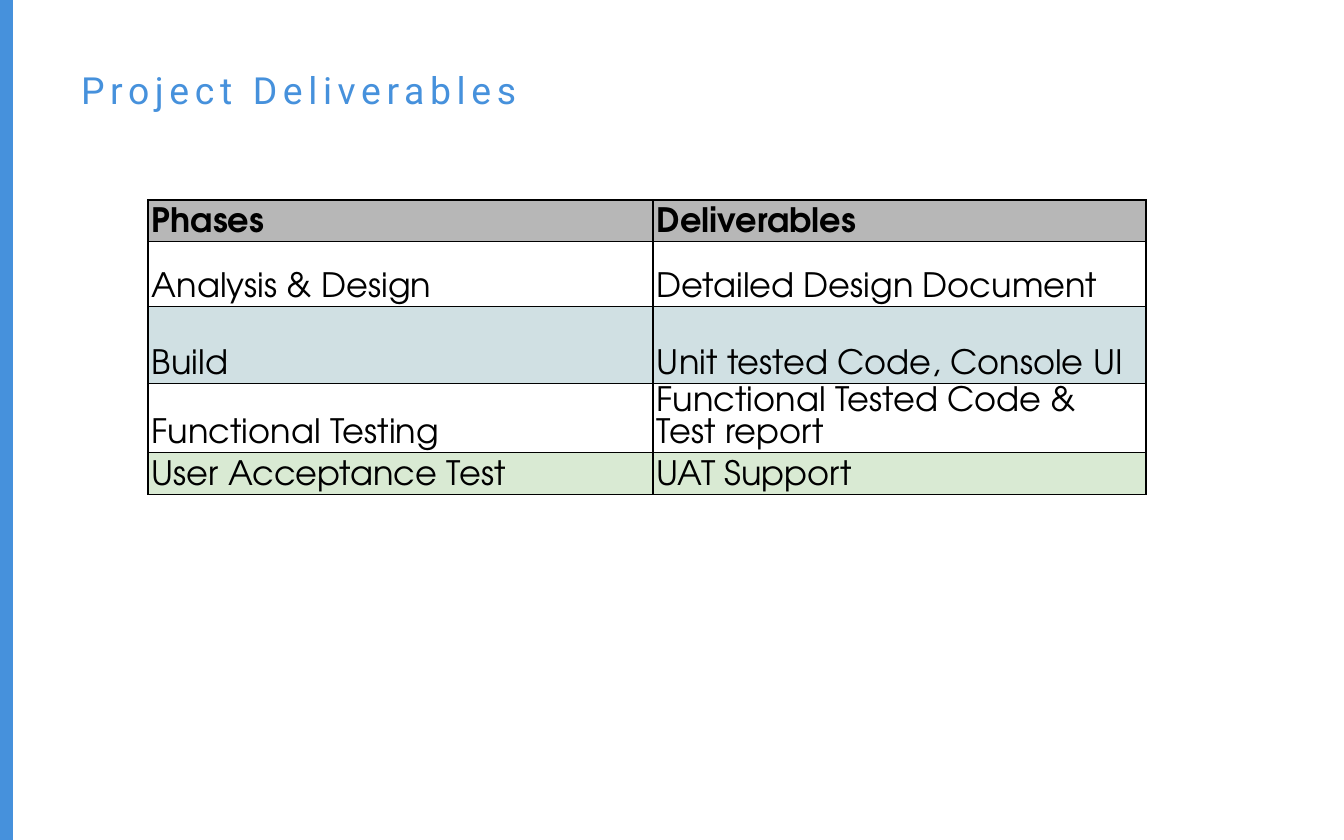
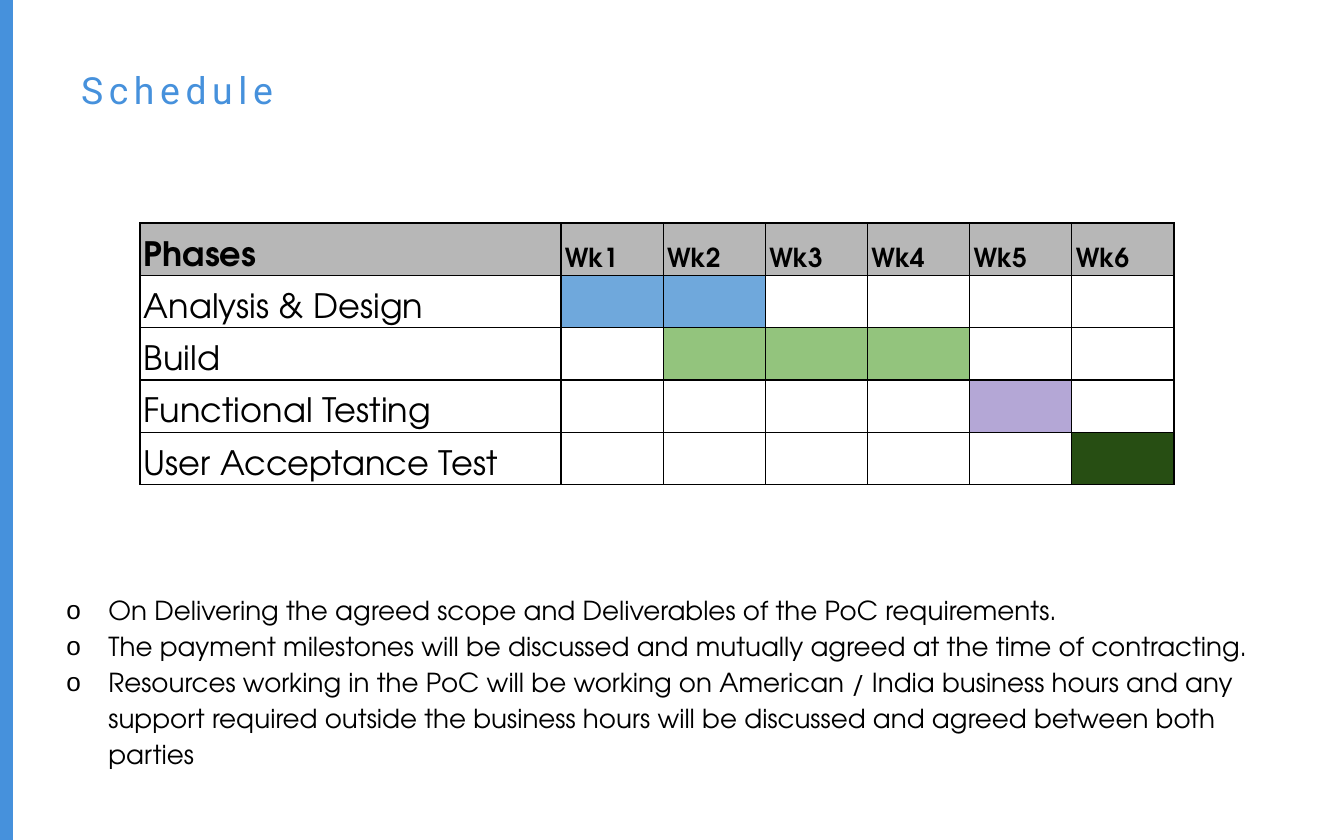
from pptx import Presentation
from pptx.dml.color import RGBColor as Rgb
from pptx.enum.shapes import MSO_SHAPE as Shape
from pptx.enum.text import MSO_ANCHOR as Anchor, MSO_AUTO_SIZE as Auto
from pptx.util import Pt
from lxml.etree import SubElement as Sub
from pptx.oxml.ns import qn

SCALE = 914400 / 134.4
BLUE, BLACK, WHITE, GREY = "4691DC", "000000", "FFFFFF", "B7B7B7"
HEAD, BODY = "Roboto", "TeX Gyre Adventor"
PHASES = ["Analysis & Design", "Build", "Functional Testing",
          "User Acceptance Test"]


def px(n):
    return round(n * SCALE)


def color(code):
    return Rgb.from_string(code)


def put(obj, **vals):
    for key, val in vals.items():
        setattr(obj, key, val)


def place(shape, box):
    put(shape, **dict(zip(("left", "top", "width", "height"), map(px, box))))


def style(font, size, name=BODY, code=BLACK, bold=False):
    put(font, size=Pt(size), name=name, bold=bold)
    font.color.rgb = color(code)


def add_bar(deck, slide, box):
    """Side band, moved to the master so that every slide has it."""
    bar = slide.shapes.add_shape(Shape.RECTANGLE, *map(px, box))
    bar.shadow.inherit = False
    bar.fill.solid()
    bar.fill.fore_color.rgb = color(BLUE)
    bar.line.fill.background()
    node = bar._element
    node.nvSpPr.cNvPr.set("id", "90")
    deck.slide_master.shapes._spTree.insert(2, node)


def add_title(slide, text, box=(81, 67, 1196, 56)):
    title = slide.shapes.title
    place(title, box)
    frame = title.text_frame
    put(frame, margin_left=0, margin_top=0, margin_right=0, margin_bottom=0,
        vertical_anchor=Anchor.TOP, auto_size=Auto.NONE, word_wrap=True)
    para = frame.paragraphs[0]
    para.alignment = 1
    run = para.add_run()
    run.text = text
    style(run.font, 20, HEAD, BLUE)
    run.font._element.set("spc", "300")


def set_cell(cell, text, fill, size=18, bold=False, gap=1.15):
    put(cell, margin_left=px(4), margin_right=px(4), margin_top=px(3),
        margin_bottom=px(3), vertical_anchor=Anchor.BOTTOM)
    # Thin black border on each side
    props = cell._tc.get_or_add_tcPr()
    for side in ("lnL", "lnR", "lnT", "lnB"):
        line = Sub(props, qn("a:" + side), w=str(Pt(0.75)))
        Sub(Sub(line, qn("a:solidFill")), qn("a:srgbClr"), val=BLACK)
    if fill:
        cell.fill.solid()
        cell.fill.fore_color.rgb = color(fill)
    else:
        cell.fill.background()
    if text:
        para = cell.text_frame.paragraphs[0]
        para.line_spacing = gap
        run = para.add_run()
        run.text = text
        style(run.font, size, bold=bold)


def add_grid(slide, left, top, cols, rows):
    box = left, top, sum(cols), sum(rows)
    grid = slide.shapes.add_table(len(rows), len(cols), *map(px, box)).table
    put(grid, first_row=False, horz_banding=False)
    for col, wide in zip(grid.columns, cols):
        col.width = px(wide)
    for row, high in zip(grid.rows, rows):
        row.height = px(high)
    return grid


def add_goods(slide, left, top):
    """Phases with what each one delivers."""
    grid = add_grid(slide, left, top, [505, 493], [41, 65, 77, 68, 42])
    for col, text in enumerate(("Phases", "Deliverables")):
        set_cell(grid.cell(0, col), text, GREY, bold=True)
    goods = ["Detailed Design Document", "Unit tested Code, Console UI",
             "Functional Tested Code & Test report", "UAT Support"]
    fills = [None, "D0E0E3", None, "D9EAD3"]
    for row, (phase, good, fill) in enumerate(zip(PHASES, goods, fills), 1):
        set_cell(grid.cell(row, 0), phase, fill)
        set_cell(grid.cell(row, 1), good, fill or WHITE, gap=1.0)


def add_plan(slide, left, top):
    """Weeks in which each phase runs, as coloured cells."""
    weeks = range(1, 7)
    grid = add_grid(slide, left, top, [421] + [102.2] * 6, [44.8] * 5)
    set_cell(grid.cell(0, 0), "Phases", GREY, bold=True)
    for week in weeks:
        set_cell(grid.cell(0, week), f"Wk{week}", GREY, 14, True)
    spans = [(1, 2, "6FA8DC"), (2, 4, "93C47D"), (5, 5, "B4A7D6"),
             (6, 6, "274E13")]
    for row, (phase, (start, end, fill)) in enumerate(zip(PHASES, spans), 1):
        set_cell(grid.cell(row, 0), phase, None)
        for week in weeks:
            busy = start <= week <= end
            set_cell(grid.cell(row, week), "", fill if busy else None)


def add_list(slide, items, box):
    body = slide.placeholders[1]
    place(body, box)
    frame = body.text_frame
    put(frame, word_wrap=True, auto_size=Auto.SHAPE_TO_FIT_TEXT,
        vertical_anchor=Anchor.TOP)
    frame.text = "\n".join(items)
    for num, para in enumerate(frame.paragraphs):
        put(para, line_spacing=1.15, space_before=Pt(0 if num else 10))
        style(para.runs[0].font, 14)
        # Hanging bullet
        props = para._p.get_or_add_pPr()
        put(props, marL=px(59), indent=px(-42))
        props.set("marL", str(px(59)))
        props.set("indent", str(px(-42)))
        Sub(Sub(props, qn("a:buClr")), qn("a:srgbClr"), val=BLACK)
        Sub(props, qn("a:buFont"), typeface="Arial")
        Sub(props, qn("a:buChar"), char="o")


deck = Presentation()
put(deck, slide_width=px(1344), slide_height=px(840))

# Deliverables
slide = deck.slides.add_slide(deck.slide_layouts[5])
add_bar(deck, slide, (0, 0, 13, 840))
add_title(slide, "Project Deliverables")
add_goods(slide, 148, 200)

# Schedule
slide = deck.slides.add_slide(deck.slide_layouts[1])
add_title(slide, "Schedule")
add_plan(slide, 140, 223)
add_list(slide, [
    "On Delivering the agreed scope and Deliverables of the PoC requirements.",
    "The payment milestones will be discussed and mutually agreed at the "
    "time of contracting.",
    "Resources working in the PoC will be working on American / India "
    "business hours and any support required outside the business hours "
    "will be discussed and agreed between both parties",
], (36, 583, 1241, 191))

deck.save("out.pptx")
